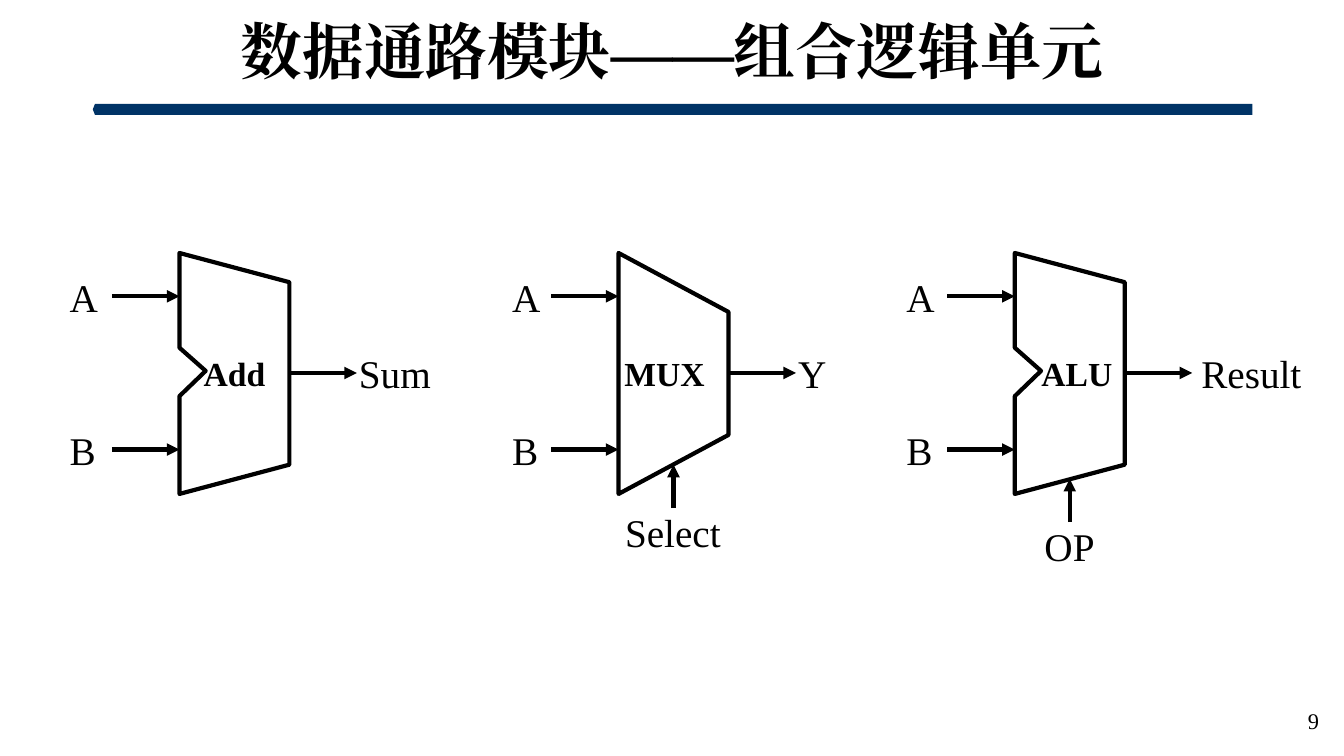
from dataclasses import dataclass

from lxml.etree import SubElement
from pptx import Presentation
from pptx.dml.color import RGBColor
from pptx.enum.shapes import MSO_CONNECTOR as Connector, MSO_SHAPE as Shape
from pptx.enum.text import MSO_ANCHOR as Anchor, MSO_AUTO_SIZE as AutoSize, PP_ALIGN as Align
from pptx.oxml.ns import qn
from pptx.util import Inches, Pt


@dataclass(frozen=True)
class Theme:
    font: str = "Times New Roman"
    ink: RGBColor = RGBColor(0, 0, 0)
    paper: RGBColor = RGBColor(255, 255, 255)
    bar: RGBColor = RGBColor(0x00, 0x33, 0x66)
    title: int = 44
    signal: int = 28
    unit: int = 24
    page: int = 16
    stroke: int = 3


# The slide is a grid of 133.3 columns by 75 rows, each a tenth of an inch.
CELL = Inches(0.1)
COLUMNS, ROWS = 133.3, 75

BODY_WIDTH = 10.9
BODY_TOP, BODY_BOTTOM = 25.1, 49
ARROW_LENGTH, CONTROL_LENGTH = 6.7, 4.3
OUTPUT_ROW = 37
INPUT_ROWS = {"A": 29.4, "B": 44.6}
LABEL_HEIGHT = 4.7
NOTCH_DEPTH = 2.6


def cells(*counts):
    return [round(count * CELL) for count in counts]


class Diagram:
    def __init__(self, slide, theme):
        self.slide, self.theme = slide, theme

    def fill_text(self, shape, text, size, bold=False, align=Align.LEFT):
        frame = shape.text_frame
        frame.text = text
        frame.vertical_anchor = Anchor.MIDDLE
        paragraph = frame.paragraphs[0]
        paragraph.alignment = align
        for run in paragraph.runs:
            font = run.font
            font.name, font.size, font.bold = self.theme.font, Pt(size), bold
            font.color.rgb = self.theme.ink
            SubElement(font._element, qn("a:ea"), typeface=self.theme.font)
        return frame

    def text(self, left, top, width, height, text, size, bold=False, align=Align.LEFT):
        box = self.slide.shapes.add_textbox(*cells(left, top, width, height))
        frame = self.fill_text(box, text, size, bold, align)
        frame.word_wrap = True
        return frame

    def label(self, left, top, width, text):
        """Place a signal name in a box that fits it closely."""
        box = self.slide.shapes.add_textbox(*cells(left, top, width, LABEL_HEIGHT))
        frame = self.fill_text(box, text, self.theme.signal)
        frame.margin_left = frame.margin_right = frame.margin_top = frame.margin_bottom = 0
        frame.word_wrap = False
        frame.auto_size = AutoSize.SHAPE_TO_FIT_TEXT
        return box

    def arrow(self, x1, y1, x2, y2):
        line = self.slide.shapes.add_connector(Connector.STRAIGHT, *cells(x1, y1, x2, y2))
        line.line.color.rgb = self.theme.ink
        line.line.width = Pt(self.theme.stroke)
        properties = line._element.spPr
        SubElement(properties.find(qn("a:ln")), qn("a:tailEnd"), type="triangle")
        SubElement(properties, qn("a:effectLst"))
        return line

    def title_bar(self, left, top, width, height):
        bar = self.slide.shapes.add_shape(Shape.PENTAGON, *cells(left, top, width, height))
        bar.adjustments[0] = 0.2
        bar.rotation = 180
        bar.shadow.inherit = False
        bar.fill.solid()
        bar.fill.fore_color.rgb = self.theme.bar
        bar.line.fill.background()

    def body(self, shape, name):
        """Style the outline of a logic unit and put its name inside."""
        shape.shadow.inherit = False
        shape.fill.solid()
        shape.fill.fore_color.rgb = self.theme.paper
        shape.line.color.rgb = self.theme.ink
        shape.line.width = Pt(self.theme.stroke)
        frame = self.fill_text(shape, name, self.theme.unit, True, Align.CENTER)
        frame.word_wrap = False
        return frame

    def notched_body(self, left, name, text_shift=0):
        right, notch = left + BODY_WIDTH, left + NOTCH_DEPTH
        start, *corners = [
            cells(*point) for point in (
                (left, BODY_TOP), (right, 28), (right, 46.1), (left, BODY_BOTTOM),
                (left, 39.3), (notch, 36.8), (left, 34.5))
        ]
        outline = self.slide.shapes.build_freeform(*start)
        outline.add_line_segments(corners, close=True)
        frame = self.body(outline.convert_to_shape(), name)
        frame.margin_left += round(2 * text_shift * CELL)

    def trapezoid_body(self, left, name):
        """Turn a trapezoid on its side, keeping its name upright."""
        length = BODY_BOTTOM - BODY_TOP
        middle = (BODY_TOP + BODY_BOTTOM) / 2
        shape = self.slide.shapes.add_shape(
            Shape.TRAPEZOID,
            *cells(left + (BODY_WIDTH - length) / 2, middle - BODY_WIDTH / 2, length, BODY_WIDTH))
        shape.adjustments[0] = 0.537
        shape.rotation = 90
        frame = self.body(shape, name)
        frame._txBody.bodyPr.set("vert", "vert270")

    def signals(self, left, input_left, output, output_width, output_gap=0.2):
        for name, row in INPUT_ROWS.items():
            self.arrow(left - ARROW_LENGTH, row, left, row)
            self.label(input_left, row - 2.35, 2.8, name)
        right = left + BODY_WIDTH
        tip = right + ARROW_LENGTH
        self.arrow(right, OUTPUT_ROW, tip, OUTPUT_ROW)
        self.label(tip + output_gap, OUTPUT_ROW - 2.4, output_width, output)

    def control(self, left, top, name, width):
        """Add a control signal that enters the unit from below."""
        center = left + BODY_WIDTH / 2
        label = self.label(center - width / 2, top, width, name)
        self.arrow(center, top, center, top - CONTROL_LENGTH).begin_connect(label, 0)


def main():
    deck = Presentation()
    deck.slide_width, deck.slide_height = cells(COLUMNS, ROWS)
    theme = Theme()
    diagram = Diagram(deck.slides.add_slide(deck.slide_layouts[6]), theme)

    diagram.title_bar(9.2, 10.3, 115, 1.1)
    title = diagram.text(9.2, 1.3, 115, 8.2, "数据通路模块——组合逻辑单元",
                         theme.title, True, Align.CENTER)
    title.paragraphs[0].line_spacing = 0.9
    diagram.text(101.8, 69.5, 30, 4, "9", theme.page, align=Align.RIGHT)

    adder, mux, alu = 17.8, 61.35, 100.65
    diagram.notched_body(adder, "Add")
    diagram.signals(adder, 6.9, "Sum", 7.2)

    diagram.trapezoid_body(mux, "MUX")
    diagram.signals(mux, 50.8, "Y", 2.8)
    diagram.control(mux, 50.4, "Select", 9.6)

    diagram.notched_body(alu, "ALU", text_shift=0.7)
    diagram.signals(alu, 89.9, "Result", 10, output_gap=0.9)
    diagram.control(alu, 51.8, "OP", 5)

    deck.save("out.pptx")


if __name__ == "__main__":
    main()
